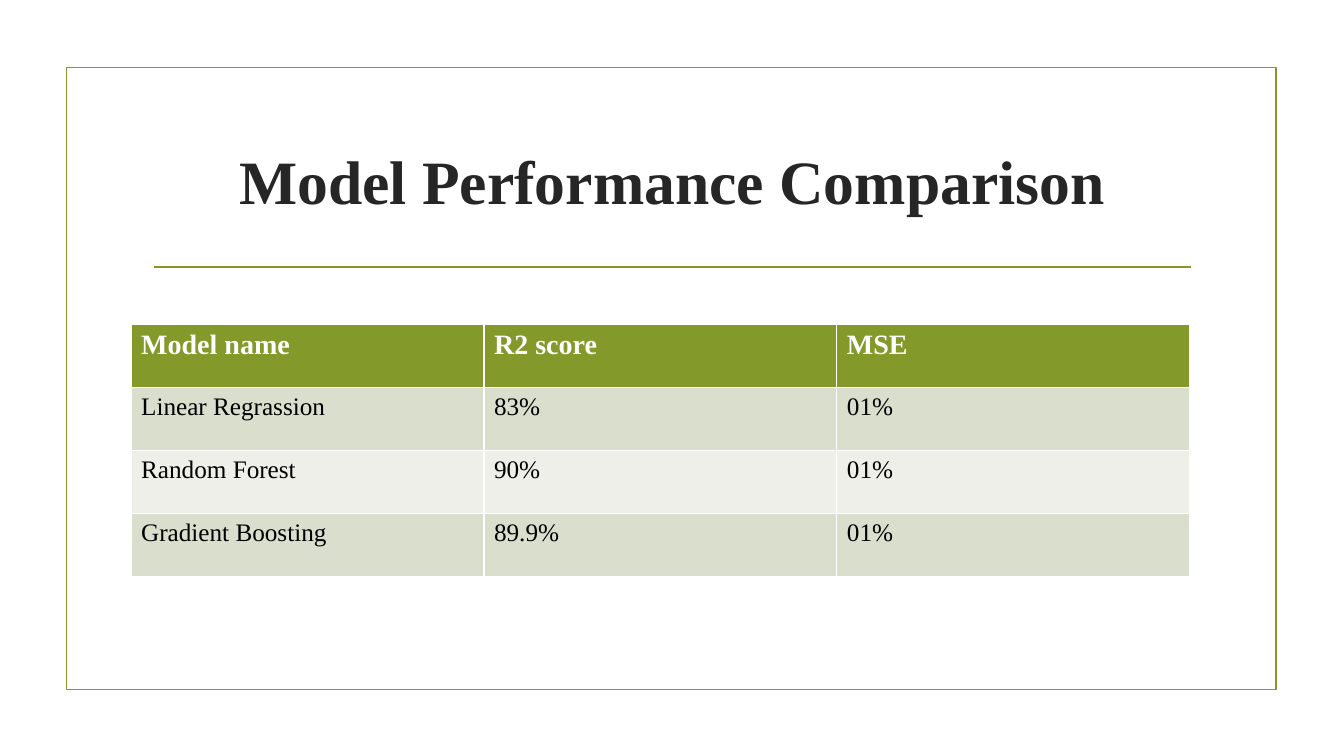
from lxml import etree
from pptx import Presentation
from pptx.dml.color import RGBColor
from pptx.enum.shapes import MSO_CONNECTOR, MSO_SHAPE
from pptx.enum.text import MSO_ANCHOR, MSO_AUTO_SIZE, PP_ALIGN
from pptx.oxml.ns import qn
from pptx.util import Inches, Pt

OLIVE = RGBColor(0x83, 0x99, 0x2A)
DARK = RGBColor(0x26, 0x26, 0x26)
BLACK = RGBColor(0, 0, 0)
WHITE = RGBColor(0xFF, 0xFF, 0xFF)
BAND_DARK = RGBColor(0xD9, 0xDE, 0xCD)
BAND_LIGHT = RGBColor(0xED, 0xEF, 0xE8)
FONT = "Times New Roman"

MODEL_SCORES = [
    ("Model name", "R2 score", "MSE"),
    ("Linear Regrassion", "83%", "01%"),
    ("Random Forest", "90%", "01%"),
    ("Gradient Boosting", "89.9%", "01%"),
]


def style_font(font, size, color, bold):
    font.name = FONT
    font.size = Pt(size)
    font.color.rgb = color
    font.bold = bold


def style_line(line):
    line.color.rgb = OLIVE
    line.width = Pt(1.25)


def add_frame(s, left, top, width, height):
    sp = s.shapes.add_shape(MSO_SHAPE.RECTANGLE, Inches(left), Inches(top),
                            Inches(width), Inches(height))
    sp.shadow.inherit = False
    sp.fill.background()
    style_line(sp.line)


def add_title(s, left, top, width, height):
    sp = s.shapes.title
    sp.left, sp.top = Inches(left), Inches(top)
    sp.width, sp.height = Inches(width), Inches(height)
    tf = sp.text_frame
    tf.text = "Model Performance Comparison"
    tf.word_wrap = True
    tf.auto_size = MSO_AUTO_SIZE.NONE
    tf.vertical_anchor = MSO_ANCHOR.MIDDLE
    p = tf.paragraphs[0]
    p.alignment = PP_ALIGN.CENTER
    style_font(p.runs[0].font, 44, DARK, True)

    rule_left, rule_y = left + 0.11, top + height + 0.15
    rule = s.shapes.add_connector(
        MSO_CONNECTOR.STRAIGHT, Inches(rule_left), Inches(rule_y),
        Inches(rule_left + 10.28), Inches(rule_y))
    style_line(rule.line)
    etree.SubElement(rule._element.spPr, qn("a:effectLst"))


def add_score_table(s, left, top, width, height):
    table = s.shapes.add_table(len(MODEL_SCORES), len(MODEL_SCORES[0]),
                               Inches(left), Inches(top),
                               Inches(width), Inches(height)).table
    for i, row in enumerate(MODEL_SCORES):
        if i == 0:
            fill, size, color = OLIVE, 20, WHITE
        else:
            fill, size, color = BAND_DARK if i % 2 else BAND_LIGHT, 18, BLACK
        for j, text in enumerate(row):
            cell = table.cell(i, j)
            cell.fill.solid()
            cell.fill.fore_color.rgb = fill
            cell.text_frame.text = text
            style_font(cell.text_frame.paragraphs[0].runs[0].font,
                       size, color, i == 0)


def main():
    prs = Presentation()
    prs.slide_width, prs.slide_height = Inches(13.33), Inches(7.5)
    s = prs.slides.add_slide(prs.slide_layouts[5])
    add_frame(s, 0.66, 0.67, 12, 6.17)
    add_title(s, 1.42, 1.07, 10.5, 1.43)
    add_score_table(s, 1.3, 3.22, 10.5, 2.5)
    prs.save("out.pptx")


if __name__ == "__main__":
    main()
